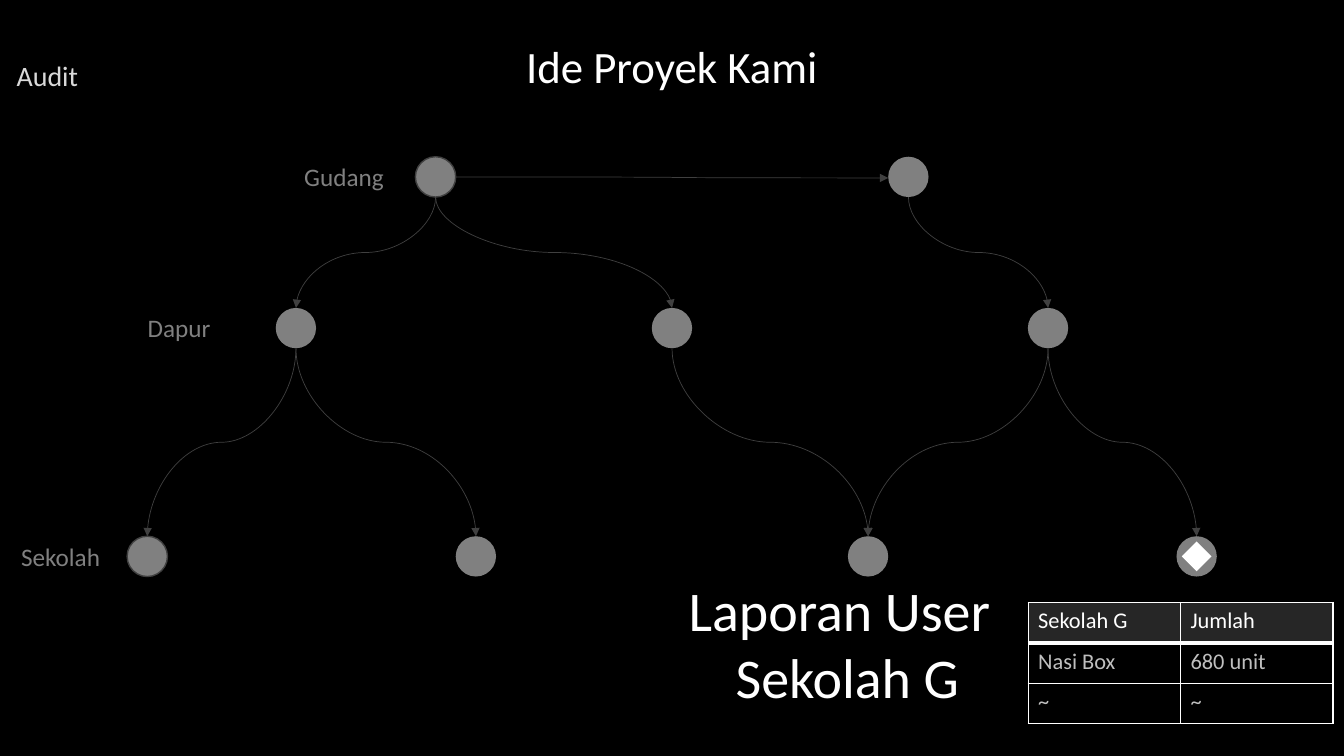
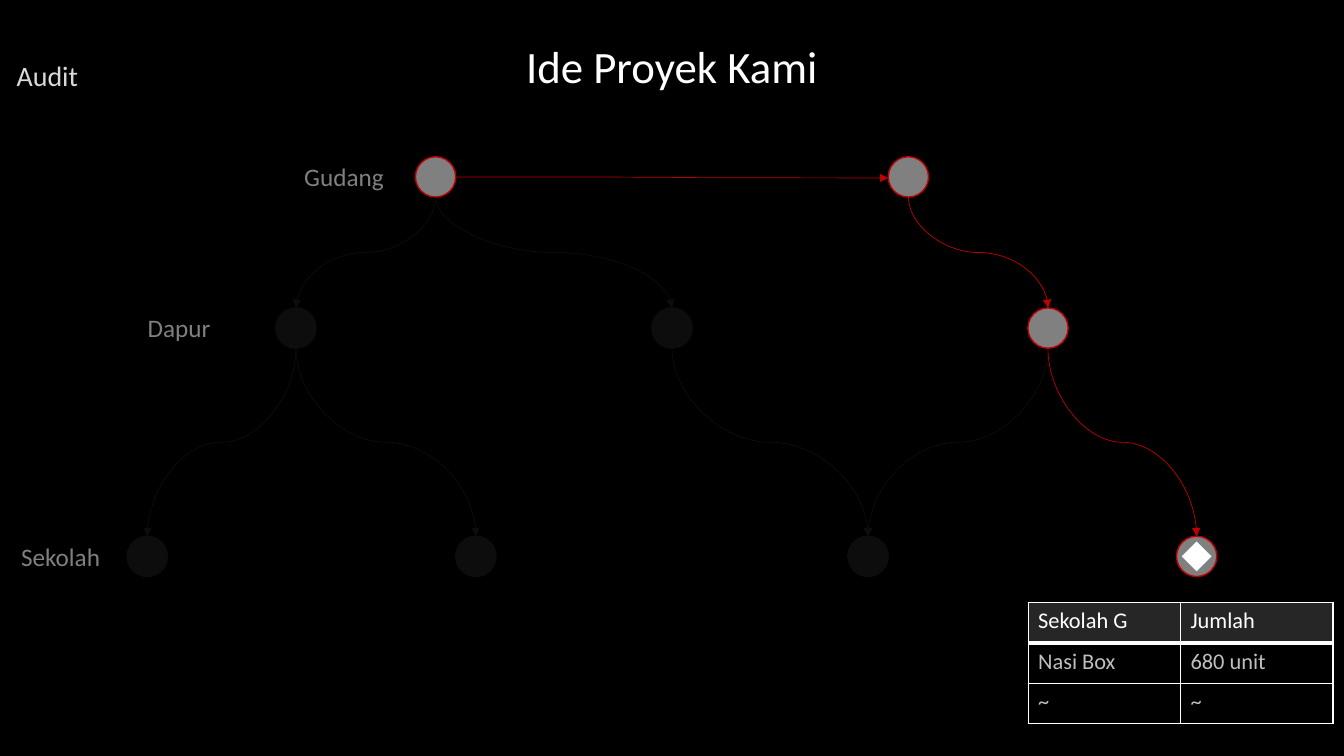
from lxml import etree
from pptx import Presentation
from pptx.dml.color import RGBColor
from pptx.enum.shapes import MSO_CONNECTOR as CONN, MSO_SHAPE as SHAPE
from pptx.enum.text import MSO_ANCHOR as ANCHOR, MSO_AUTO_SIZE as AUTO, PP_ALIGN as ALIGN
from pptx.oxml.ns import qn
from pptx.util import Inches, Pt

BLACK = RGBColor(0x00, 0x00, 0x00)
WHITE = RGBColor(0xFF, 0xFF, 0xFF)
PALE = RGBColor(0xD9, 0xD9, 0xD9)
SILVER = RGBColor(0xBF, 0xBF, 0xBF)
GRAY = RGBColor(0x80, 0x80, 0x80)
DARK = RGBColor(0x40, 0x40, 0x40)
HEADER = RGBColor(0x26, 0x26, 0x26)
FADED = RGBColor(0x0D, 0x0D, 0x0D)
RED = RGBColor(0xC0, 0x00, 0x00)

prs = Presentation()
prs.slide_width, prs.slide_height = Inches(13.333), Inches(7.5)
COL, ROW = prs.slide_width / 100, prs.slide_height / 100  # 100 x 100 grid
NODE = Inches(0.4)
DIAMOND = Inches(0.21)

# Tree: tier rows and node offsets from the centre column, mirrored left to right
TIERS = {"G": (23.4, (-17.59, 17.59)),
         "D": (43.4, (-27.98, 0, 27.98)),
         "S": (73.6, (-39.04, -14.59, 14.59, 39.04))}
nodes = {f"{tier}{i}": (int((50 + dx) * COL), int(row * ROW))
         for tier, (row, offsets) in TIERS.items()
         for i, dx in enumerate(offsets, 1)}
EDGES = [("G1", "D1"), ("G1", "D2"), ("G1", "G2"), ("G2", "D3"), ("D3", "S4"),
         ("D3", "S3"), ("D2", "S3"), ("D1", "S2"), ("D1", "S1")]
TARGET = "S4"

# Tier labels: text, left, row centre, width
LABELS = [("Gudang", 21.9, 23.4, 7.5),
          ("Dapur", 10.25, 43.4, 6.2),
          ("Sekolah", 0.83, 73.6, 7.4)]

TABLE = [("Sekolah G", "Jumlah"), ("Nasi Box", "680 unit"), ("~", "~")]

# What differs: the audited route and the caption lines
SLIDES = [{"route": (), "caption": ("Laporan User", "Sekolah G")},
          {"route": ("G1", "G2", "D3", "S4"), "caption": ()}]


def write(tf, lines, size, color, aligns=(ALIGN.LEFT,), wrap=True):
    for name, value in {"word_wrap": wrap, "auto_size": AUTO.NONE,
                        "vertical_anchor": ANCHOR.TOP}.items():
        setattr(tf, name, value)
    for i, (line, align) in enumerate(zip(lines, aligns)):
        p = tf.paragraphs[0] if i == 0 else tf.add_paragraph()
        p.alignment = align
        r = p.add_run()
        r.text = line
        for name, value in {"name": "Calibri", "size": Pt(size), "bold": False}.items():
            setattr(r.font, name, value)
        r.font.color.rgb = color


def box(left, top, width, height):
    return int(left * COL), int(top * ROW), int(width * COL), int(height * ROW)


fill = prs.slide_master.background.fill
fill.solid()
fill.fore_color.rgb = BLACK

for content in SLIDES:
    route = content["route"]
    s = prs.slides.add_slide(prs.slide_layouts[5])

    # Title and section name
    title = s.shapes.title
    title.left, title.top, title.width, title.height = box(22, 4.4, 56, 8.5)
    write(title.text_frame, ["Ide Proyek Kami"], 32, WHITE, (ALIGN.CENTER,))
    write(s.shapes.add_textbox(*box(0.5, 7.1, 12, 5.9)).text_frame, ["Audit"], 20, PALE)

    # Nodes
    for name, (x, y) in nodes.items():
        sp = s.shapes.add_shape(SHAPE.FLOWCHART_CONNECTOR, x - NODE // 2, y - NODE // 2, NODE, NODE)
        sp.shadow.inherit = False
        sp.fill.solid()
        sp.fill.fore_color.rgb = FADED if route and name not in route else GRAY
        if route or name in ("G1", "S1"):
            sp.line.color.rgb = (RED if name in route else FADED) if route else DARK
            sp.line.width = Pt(1)
        else:
            sp.line.fill.background()

    # Curved arrows: level within a tier, turned a quarter between tiers
    for start, end in EDGES:
        (x1, y1), (x2, y2) = nodes[start], nodes[end]
        if y1 == y2:
            c = s.shapes.add_connector(CONN.CURVE, x1 + NODE // 2, y1, x2 - NODE // 2, y2 + Inches(0.01))
        else:
            cx, cy = (x1 + x2) // 2, (y1 + y2) // 2
            side = 1 if x2 > x1 else -1
            half_w, half_h = side * (y2 - y1 - NODE) // 2, abs(x2 - x1) // 2
            c = s.shapes.add_connector(CONN.CURVE, cx + half_w, cy - half_h, cx - half_w, cy + half_h)
            c._element.spPr.find(qn("a:xfrm")).set("rot", str((270 if side > 0 else 90) * 60000))
        on_route = start in route and end in route
        c.line.color.rgb = (RED if on_route else FADED) if route else DARK
        c.line.width = Pt(0.5)
        etree.SubElement(c.line._get_or_add_ln(), qn("a:tailEnd"), type="triangle")
        etree.SubElement(c._element.spPr, qn("a:effectLst"))

    # Tier labels
    for text, left, row, width in LABELS:
        tb = s.shapes.add_textbox(*box(left, row - 2.7, width, 5.4))
        write(tb.text_frame, [text], 18, GRAY, wrap=False)

    # Marker on the reporting school
    x, y = nodes[TARGET]
    marker = s.shapes.add_shape(SHAPE.RECTANGLE, x - DIAMOND // 2, y - DIAMOND // 2, DIAMOND, DIAMOND)
    marker.rotation = 45
    marker.shadow.inherit = False
    marker.fill.solid()
    marker.fill.fore_color.rgb = WHITE
    marker.line.fill.background()

    # Report table
    table = s.shapes.add_table(3, 2, *box(76.5, 79.7, 22.68, 16)).table
    for i, values in enumerate(TABLE):
        for j, value in enumerate(values):
            cell = table.cell(i, j)
            write(cell.text_frame, [value], 16, SILVER if i else WHITE)
            cell.fill.solid()
            cell.fill.fore_color.rgb = BLACK if i else HEADER
            tcPr = cell._tc.get_or_add_tcPr()
            widths = {"L": 1, "R": 1, "T": 3 if i == 1 else 1, "B": 1 if i else 3}
            for k, (edge, width) in enumerate(widths.items()):
                ln = etree.Element(qn(f"a:ln{edge}"), w=str(Pt(width)))
                solid = etree.SubElement(ln, qn("a:solidFill"))
                etree.SubElement(solid, qn("a:srgbClr"), val=str(WHITE))
                tcPr.insert(k, ln)

    # Caption
    if content["caption"]:
        tb = s.shapes.add_textbox(*box(50.5, 75.5, 25.1, 19.3))
        write(tb.text_frame, content["caption"], 40, WHITE, (ALIGN.LEFT, ALIGN.CENTER), wrap=False)

prs.save("out.pptx")
